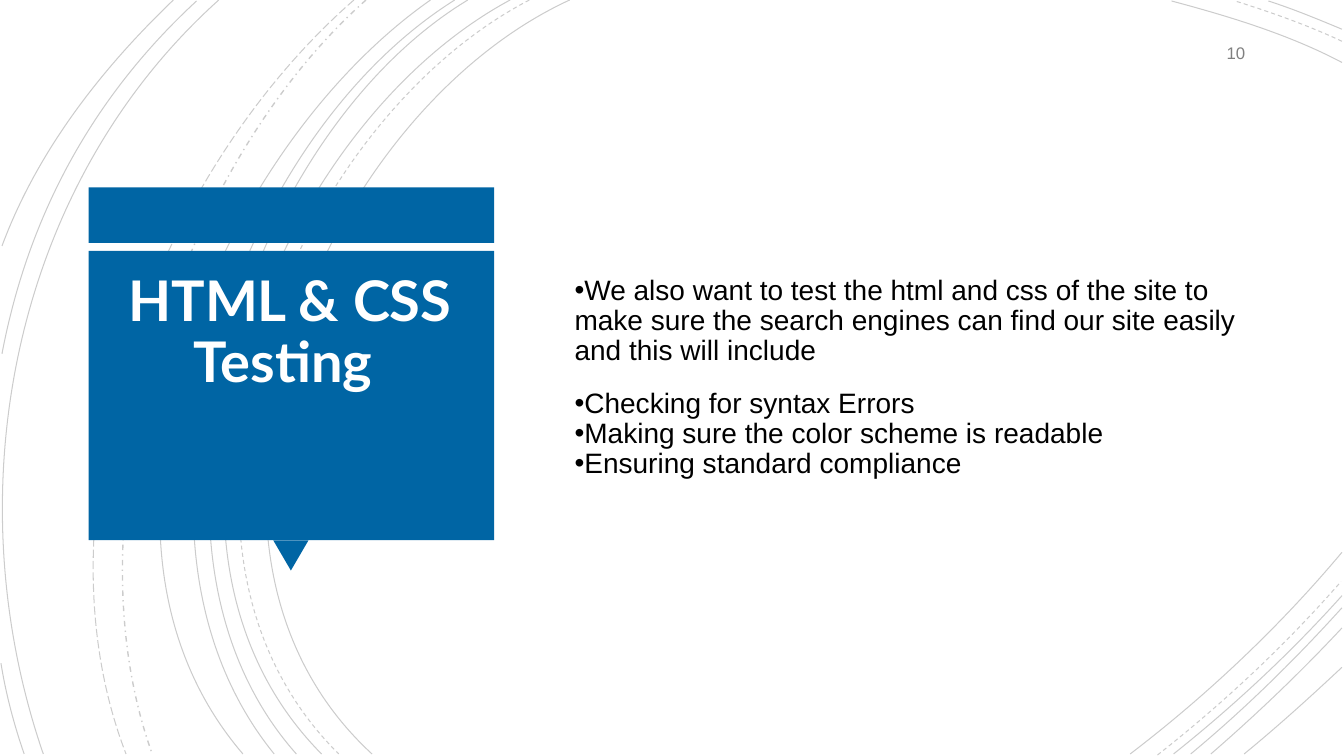
import pptx
import pptx.util
import pptx.dml.color
import pptx.enum.dml
import pptx.enum.shapes
import pptx.enum.text
import pptx.oxml.ns
import lxml.etree

Inches = pptx.util.Inches
RGBColor = pptx.dml.color.RGBColor
Dash = pptx.enum.dml.MSO_LINE
Kind = pptx.enum.shapes.MSO_SHAPE
Align = pptx.enum.text.PP_ALIGN
Anchor = pptx.enum.text.MSO_ANCHOR
qn = pptx.oxml.ns.qn

BLACK = RGBColor(0x00, 0x00, 0x00)
WHITE = RGBColor(0xFF, 0xFF, 0xFF)
GRAY = RGBColor(0x80, 0x80, 0x80)
BLUE = RGBColor(0x00, 0x65, 0xA4)

# Each arc: start, two control points, end
SOLID = [
    ((5.65, 0), (3.15, 1.15), (1.43, 5.4), (3.69, 7.48)),
    ((13.31, 0.62), (12.78, 0.34), (12.18, 0.16), (11.62, 0.01)),
    ((11.21, 7.48), (11.97, 6.9), (12.69, 6.22), (13.31, 5.48)),
    ((5.06, 0), (2.7, 1.27), (1.1, 5.37), (3.19, 7.48)),
    ((13.31, 0.29), (13.07, 0.19), (12.83, 0.09), (12.58, 0.01)),
    ((11.64, 7.48), (12.23, 7.01), (12.8, 6.48), (13.31, 5.91)),
    ((4.64, 0), (2.44, 1.33), (1.1, 5.41), (2.94, 7.48)),
    ((11.81, 7.48), (12.34, 7.04), (12.84, 6.55), (13.31, 6.03)),
    ((4.51, 0), (2.31, 1.38), (0.97, 5.33), (2.72, 7.48)),
    ((12.01, 7.48), (12.46, 7.09), (12.9, 6.67), (13.31, 6.23)),
    ((4.27, 0), (2.17, 1.47), (0.53, 5.29), (2.41, 7.48)),
    ((12.34, 7.48), (12.67, 7.21), (12.99, 6.92), (13.31, 6.62)),
    ((2.17, 0), (0.11, 1.85), (-0.46, 4.9), (0.43, 7.48)),
    ((1.95, 0.01), (0.92, 0.96), (0.28, 2.14), (0.02, 3.51)),
    ((0.01, 6.58), (0.06, 6.89), (0.14, 7.19), (0.24, 7.48)),
    ((1.72, 0), (1, 0.69), (0.37, 1.5), (0.02, 2.44)),
]
DASHED = [
    ((5.25, 0), (2.85, 1.25), (1.23, 5.37), (3.36, 7.48)),
    ((13.31, 0.41), (12.97, 0.25), (12.6, 0.12), (12.25, 0.01)),
    ((11.48, 7.49), (12.13, 6.98), (12.75, 6.4), (13.3, 5.77)),
]
DOTTED = [((3.63, 0), (1.76, 1.66), (0.65, 5.09), (1.51, 7.48))]
LONG = [((3.51, 0), (1.57, 1.69), (0.29, 4.99), (1.25, 7.48))]


def place(shape, x, y, w, h):
    shape.left, shape.top = Inches(x), Inches(y)
    shape.width, shape.height = Inches(w), Inches(h)


def write(shape, lines, size, font, color, bold=False, align=Align.LEFT,
          anchor=Anchor.MIDDLE, spacing=None, after=(0,), bullet=None):
    frame = shape.text_frame
    frame.word_wrap = True
    frame.auto_size = pptx.enum.text.MSO_AUTO_SIZE.NONE
    frame.vertical_anchor = anchor
    for i, (line, gap) in enumerate(zip(lines, after)):
        para = frame.paragraphs[0] if i == 0 else frame.add_paragraph()
        para.alignment = align
        para.line_spacing = spacing
        para.space_before = pptx.util.Pt(0)
        para.space_after = pptx.util.Pt(gap)
        run = para.add_run()
        run.text = line
        run.font.size = pptx.util.Pt(size)
        run.font.name = font
        run.font.bold = bold
        run.font.color.rgb = color
        if bullet:
            props = para._p.get_or_add_pPr()
            props.set("marL", "0")
            props.set("indent", str(-Inches(0.25)))
            lxml.etree.SubElement(props, qn("a:buFont"), typeface=font)
            lxml.etree.SubElement(props, qn("a:buChar"), char=bullet)


def block(slide, kind, x, y, w, h):
    shape = slide.shapes.add_shape(kind, Inches(x), Inches(y), Inches(w), Inches(h))
    shape.shadow.inherit = False
    shape.fill.solid()
    shape.fill.fore_color.rgb = BLUE
    shape.line.fill.background()
    return shape


def bend(curve):
    """Turn the three straight segments into one cubic curve."""
    legs = list(curve._element.iter(qn("a:lnTo")))
    cubic = lxml.etree.SubElement(legs[0].getparent(), qn("a:cubicBezTo"))
    for leg in legs:
        cubic.append(leg[0])
        leg.getparent().remove(leg)


def rings(slide, box, arcs, dash, width=0.75):
    """Faint arcs behind the content."""
    left, top = box[:2]
    for arc in arcs:
        points = [(Inches(left + x), Inches(top + y)) for x, y in arc]
        pen = slide.shapes.build_freeform(*points[0])
        pen.add_line_segments(points[1:], close=False)
        curve = pen.convert_to_shape()
        bend(curve)
        curve.shadow.inherit = False
        curve.fill.background()
        curve.line.color.rgb = BLACK
        curve.line.width = pptx.util.Pt(width)
        curve.line.dash_style = dash
        ink = curve.line._get_or_add_ln().find(".//" + qn("a:srgbClr"))
        lxml.etree.SubElement(ink, qn("a:alpha"), val="20000")


def card(slide, box):
    """Blue title card with a band on top and a pointer below."""
    x, y, w, h = box
    body, tip = 0.63, 0.3
    base = h - tip
    block(slide, Kind.RECTANGLE, x, y, w, 0.55)
    arrow = block(slide, Kind.ISOSCELES_TRIANGLE, x + w / 2 - 0.18, y + base, 0.35, tip)
    arrow.rotation = 180
    block(slide, Kind.RECTANGLE, x, y + body, w, base - body)
    title = slide.shapes.title
    place(title, x + 0.11, y + 0.8, w - 0.25, 2.62)
    write(title, ["HTML & CSS Testing "], 40, "Lato", WHITE, bold=True,
          align=Align.CENTER, anchor=Anchor.TOP, spacing=0.9, after=(6,))
    slide.shapes._spTree.append(title._element)  # bring above the card


def label(slide, box, lines, **style):
    """Text box that fills the given box."""
    text = slide.shapes.add_textbox(*map(Inches, box))
    write(text, lines, **style)


def main():
    deck = pptx.Presentation()
    deck.slide_width, deck.slide_height = Inches(13.33), Inches(7.5)
    slide = deck.slides.add_slide(deck.slide_layouts[5])
    slide.background.fill.solid()
    slide.background.fill.fore_color.rgb = WHITE

    # Background arcs
    page = (0, 0, 13.33, 7.5)
    rings(slide, page, SOLID, Dash.SOLID)
    rings(slide, page, DASHED, Dash.DASH)
    rings(slide, page, DOTTED, Dash.DASH_DOT, width=1)
    rings(slide, page, LONG, Dash.LONG_DASH)

    # Title card
    card(slide, (0.88, 1.86, 4.02, 3.8))

    # Page number
    label(slide, (11.45, 0.35, 1, 0.35), ["10"], size=12, font="Arial",
          color=GRAY, align=Align.RIGHT, after=(6,))

    # Bullet list
    label(slide, (5.6, 0.88, 6.87, 5.74), [
        "We also want to test the html and css of the site to make sure "
        "the search engines can find our site easily and this will include",
        "Checking for syntax Errors",
        "Making sure the color scheme is readable",
        "Ensuring standard compliance",
    ], size=20, font="Arial", color=BLACK, spacing=0.9, after=(16, 0, 0, 16), bullet="•")

    deck.save("out.pptx")


if __name__ == "__main__":
    main()
